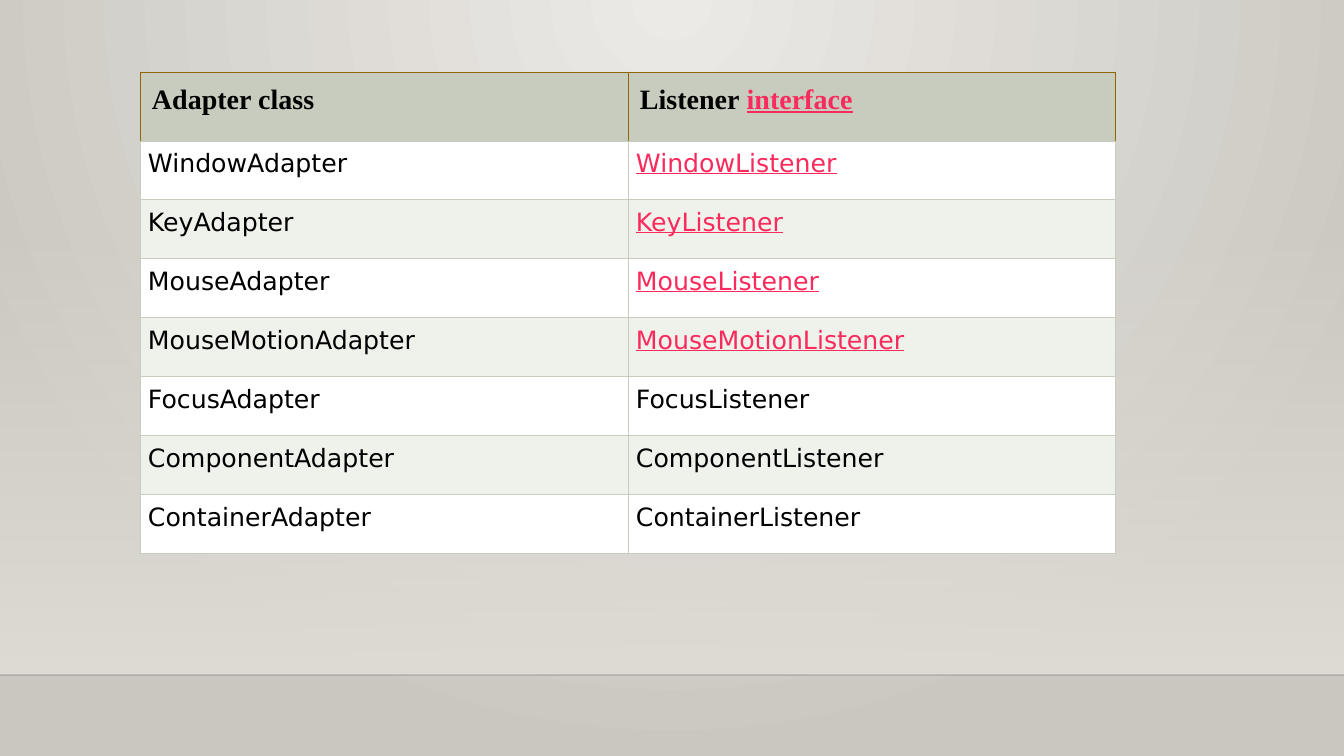
"""Build a slide with a table of adapter classes and their listener interfaces."""
from lxml import etree
from pptx import Presentation
from pptx import util as u
from pptx.dml.color import RGBColor
from pptx.enum import shapes
from pptx.oxml import parse_xml
from pptx.oxml.ns import nsdecls, qn

HEADER = [[("Adapter class", "text")], [("Listener\u00a0", "text"), ("interface", "link")]]
ROWS = [
    ("WindowAdapter", "WindowListener", "link"),
    ("KeyAdapter", "KeyListener", "link"),
    ("MouseAdapter", "MouseListener", "link"),
    ("MouseMotionAdapter", "MouseMotionListener", "link"),
    ("FocusAdapter", "FocusListener", "text"),
    ("ComponentAdapter", "ComponentListener", "text"),
    ("ContainerAdapter", "ContainerListener", "text"),
]
COLORS = {
    "text": "000000", "link": "FA2B5C", "header": "C7CCBE", "odd": "FFFFFF", "even": "EFF1EB",
    "grid": "C7CCBE", "header_edge": "906602", "glow": "ECEAE7", "wall": "CAC7C1",
    "haze": "DFDBD5", "horizon": "000001",
}
HEADER_STYLE = {"font": "Times New Roman", "size": 20, "bold": True, "margin": 12}
BODY_STYLE = {"font": "DejaVu Sans", "size": 18, "bold": False, "margin": 8}
WIDTH, HEIGHT = 1344, 756
HAZE_TOP, HORIZON = 223, 675
TABLE_LEFT, TABLE_TOP, COLUMN_WIDTH = 140, 72, 488
HEADER_HEIGHT, ROW_HEIGHT = 69, 59
EMU_PER_PX = 914400 / 100.8


def px(length):
    return u.Emu(round(length * EMU_PER_PX))


def rgb(name):
    return RGBColor.from_string(COLORS[name])


def color_xml(name, alpha=100):
    return f'<a:srgbClr val="{COLORS[name]}"><a:alpha val="{alpha * 1000}"/></a:srgbClr>'


def set_gradient(fill, parent, start, end, direction):
    fill.gradient()
    gradient = parent.find(".//" + qn("a:gradFill"))
    gradient.getparent().replace(gradient, parse_xml(
        f'<a:gradFill {nsdecls("a")} rotWithShape="1"><a:gsLst><a:gs pos="0">{start}</a:gs>'
        f'<a:gs pos="100000">{end}</a:gs></a:gsLst>{direction}</a:gradFill>'))


def add_backdrop(slide):
    set_gradient(slide.background.fill, slide.background._cSld, color_xml("glow"), color_xml("wall"),
                 '<a:path path="circle"><a:fillToRect l="43000" t="0" r="43000" b="100000"/></a:path>')
    haze = slide.shapes.add_shape(
        shapes.MSO_SHAPE.RECTANGLE, 0, px(HAZE_TOP), px(WIDTH), px(HORIZON - HAZE_TOP))
    haze.shadow.inherit = False
    haze.line.fill.background()
    set_gradient(haze.fill, haze._element.spPr, color_xml("haze", 0), color_xml("haze"),
                 '<a:lin ang="5400000" scaled="0"/>')
    horizon = slide.shapes.add_connector(
        shapes.MSO_CONNECTOR.STRAIGHT, 0, px(HORIZON), px(WIDTH), px(HORIZON))
    horizon.line.width = u.Pt(1)
    horizon.line.color.rgb = rgb("horizon")
    line_color = horizon._element.spPr.find(".//" + qn("a:srgbClr"))
    etree.SubElement(line_color, qn("a:alpha"), val="20000")
    etree.SubElement(horizon._element.spPr, qn("a:effectLst"))


def set_borders(cell, edges):
    properties = cell._tc.get_or_add_tcPr()
    for position, (side, color) in enumerate(zip("LRTB", edges)):
        properties.insert(position, parse_xml(
            f'<a:ln{side} {nsdecls("a")} w="{u.Pt(0.75)}"><a:solidFill>{color_xml(color)}'
            f'</a:solidFill><a:prstDash val="solid"/></a:ln{side}>'))


def fill_cell(cell, runs, style, background, edges):
    cell.margin_left = cell.margin_right = px(style["margin"])
    cell.margin_top = cell.margin_bottom = px(style["margin"])
    cell.fill.solid()
    cell.fill.fore_color.rgb = rgb(background)
    set_borders(cell, edges)
    paragraph = cell.text_frame.paragraphs[0]
    for words, color in runs:
        run = paragraph.add_run()
        run.text = words
        run.font.name = style["font"]
        run.font.size = u.Pt(style["size"])
        run.font.bold = style["bold"]
        run.font.underline = color == "link"
        run.font.color.rgb = rgb(color)


def add_adapter_table(slide):
    heights = [HEADER_HEIGHT] + [ROW_HEIGHT] * len(ROWS)
    table = slide.shapes.add_table(
        len(heights), 2, px(TABLE_LEFT), px(TABLE_TOP), px(2 * COLUMN_WIDTH), px(sum(heights))).table
    table.horz_banding = False
    for column in table.columns:
        column.width = px(COLUMN_WIDTH)
    for row, height in zip(table.rows, heights):
        row.height = px(height)
    for column, runs in enumerate(HEADER):
        fill_cell(table.cell(0, column), runs, HEADER_STYLE, "header", ["header_edge"] * 3 + ["grid"])
    for number, (adapter, listener, color) in enumerate(ROWS, 1):
        background = "odd" if number % 2 else "even"
        for column, run in enumerate([(adapter, "text"), (listener, color)]):
            fill_cell(table.cell(number, column), [run], BODY_STYLE, background, ["grid"] * 4)


def main():
    presentation = Presentation()
    presentation.slide_width, presentation.slide_height = px(WIDTH), px(HEIGHT)
    slide = presentation.slides.add_slide(presentation.slide_layouts[6])
    add_backdrop(slide)
    add_adapter_table(slide)
    presentation.save("out.pptx")


if __name__ == "__main__":
    main()
